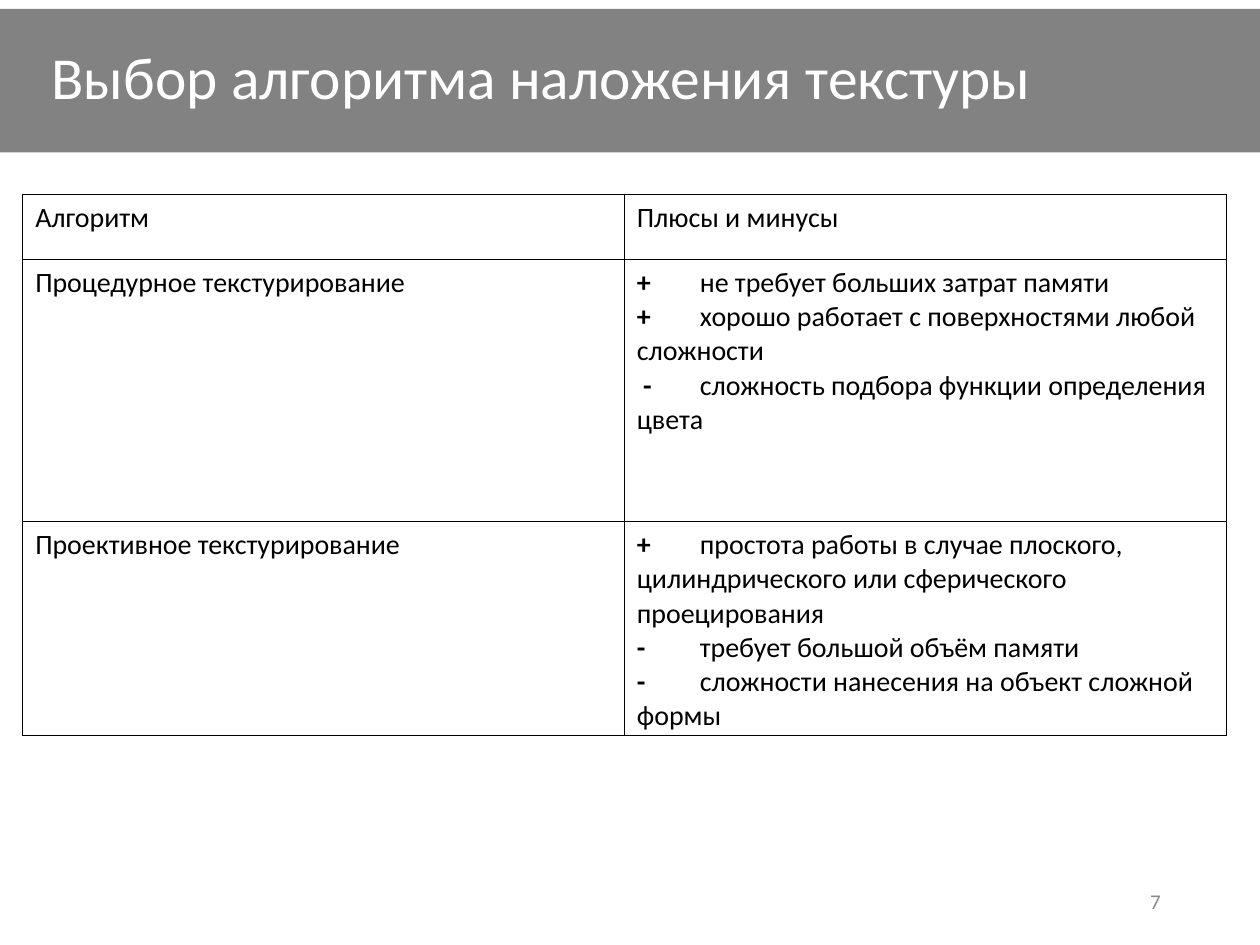
from lxml.etree import SubElement
from pptx import Presentation
from pptx.dml.color import RGBColor
from pptx.enum.text import MSO_ANCHOR, PP_ALIGN
from pptx.oxml.ns import qn
from pptx.util import Emu, Inches, Pt

BLACK = RGBColor(0x00, 0x00, 0x00)
WHITE = RGBColor(0xFF, 0xFF, 0xFF)
NUMBER_GREY = RGBColor(0x89, 0x89, 0x89)
FONT = "Calibri"
BAND_OPACITY = 49
BORDER_WIDTH = Pt(0.45)
ROW_HEIGHTS = (0.52, 2.08, 1.7)

# A cell is a plain string or a list of (sign, text, sign offset, text offset).
COMPARISON = [
    ("Алгоритм", "Плюсы и минусы"),
    ("Процедурное текстурирование", [
        ("+", "не требует больших затрат памяти", 0, 0.31),
        ("+", "хорошо работает с поверхностями любой сложности", 0, 0.31),
        ("-", "сложность подбора функции определения цвета", 0.05, 0.31),
    ]),
    ("Проективное текстурирование", [
        ("+", "простота работы в случае плоского, цилиндрического "
              "или сферического проецирования", 0, 0.26),
        ("-", "требует большой объём памяти", 0, 0.26),
        ("-", "сложности нанесения на объект сложной формы", 0, 0.26),
    ]),
]


def write(paragraph, text, size=16, color=BLACK, bold=False, align=PP_ALIGN.LEFT):
    paragraph.alignment = align
    run = paragraph.add_run()
    run.text = text
    run.font.name = FONT
    run.font.size = Pt(size)
    run.font.bold = bold
    run.font.color.rgb = color


def set_sign_tab(paragraph, sign_offset, text_offset):
    """Put the sign at one offset and the first word after it at another."""
    properties = paragraph._p.get_or_add_pPr()
    properties.set("marL", "0")
    properties.set("indent", str(Inches(sign_offset)))
    stops = SubElement(properties, qn("a:tabLst"))
    SubElement(stops, qn("a:tab"), pos=str(Inches(text_offset)), algn="l")


def set_borders(cell):
    properties = cell._tc.get_or_add_tcPr()
    for position, side in enumerate(("a:lnL", "a:lnR", "a:lnT", "a:lnB")):
        line = properties.makeelement(qn(side), {"w": str(BORDER_WIDTH)})
        fill = SubElement(line, qn("a:solidFill"))
        SubElement(fill, qn("a:srgbClr"), val=str(BLACK))
        properties.insert(position, line)


def add_title_band(slide, left, top, width, height):
    title = slide.shapes.title
    title.left, title.top, title.width, title.height = left, top, width, height
    title.fill.solid()
    title.fill.fore_color.rgb = BLACK
    color = title._element.spPr.find(".//" + qn("a:srgbClr"))
    SubElement(color, qn("a:alpha"), val=str(BAND_OPACITY * 1000))
    frame = title.text_frame
    frame.word_wrap = True
    frame.vertical_anchor = MSO_ANCHOR.MIDDLE
    frame.margin_left = int(width * 0.041)
    frame.margin_right = frame.margin_top = frame.margin_bottom = 0
    heading = frame.paragraphs[0]
    heading.line_spacing = 0.9
    write(heading, "Выбор алгоритма наложения текстуры", size=34, color=WHITE)


def fill_cell(cell, content):
    cell.fill.background()
    cell.margin_left = cell.margin_right = Inches(0.1)
    cell.margin_top = cell.margin_bottom = Inches(0.05)
    set_borders(cell)
    frame = cell.text_frame
    if isinstance(content, str):
        write(frame.paragraphs[0], content)
        return
    for index, (sign, text, sign_offset, text_offset) in enumerate(content):
        paragraph = frame.add_paragraph() if index else frame.paragraphs[0]
        set_sign_tab(paragraph, sign_offset, text_offset)
        write(paragraph, sign, bold=True)
        write(paragraph, "\t" + text)


def add_comparison(slide, left, top, width, height):
    columns = len(COMPARISON[0])
    table = slide.shapes.add_table(
        len(COMPARISON), columns, left, top, width, height).table
    table.first_row = table.horz_banding = False
    for column in table.columns:
        column.width = Emu(width // columns)
    for row, share, contents in zip(table.rows, ROW_HEIGHTS, COMPARISON):
        row.height = Emu(int(height * share / sum(ROW_HEIGHTS)))
        for cell, content in zip(row.cells, contents):
            fill_cell(cell, content)


def add_page_number(slide, left, top, width, height):
    frame = slide.shapes.add_textbox(left, top, width, height).text_frame
    frame.word_wrap = True
    frame.vertical_anchor = MSO_ANCHOR.MIDDLE
    write(frame.paragraphs[0], "7", size=12, color=NUMBER_GREY,
          align=PP_ALIGN.RIGHT)


def main():
    deck = Presentation()
    deck.slide_width, deck.slide_height = Inches(10), Inches(7.5)
    slide = deck.slides.add_slide(deck.slide_layouts[5])
    add_title_band(slide, 0, Inches(0.07), deck.slide_width, Inches(1.14))
    add_page_number(slide, Inches(7.06), Inches(6.95), Inches(2.25), Inches(0.4))
    add_comparison(slide, Inches(0.18), Inches(1.54), Inches(9.55),
                   Inches(sum(ROW_HEIGHTS)))
    deck.save("out.pptx")


if __name__ == "__main__":
    main()
